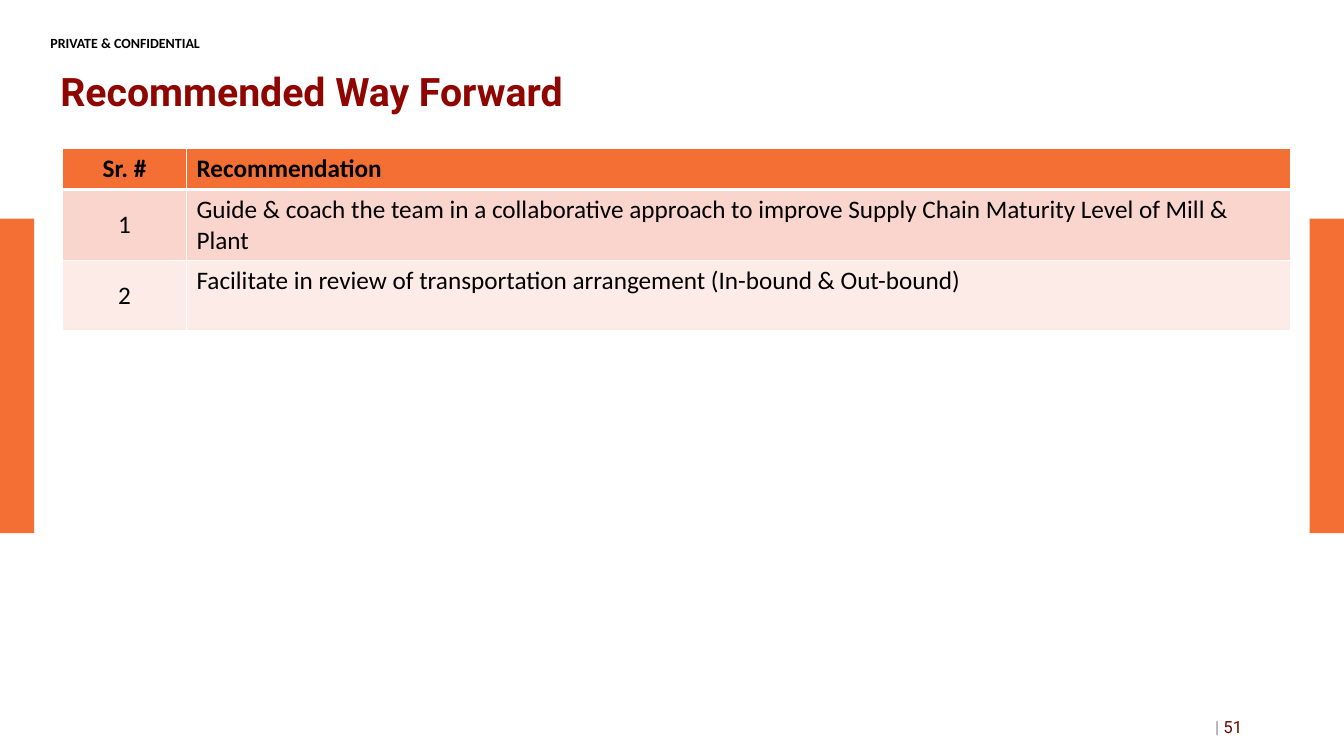
"""Build the Recommended Way Forward slide."""
from dataclasses import dataclass

from lxml.etree import SubElement
from pptx import Presentation
from pptx.dml.color import RGBColor as Rgb
from pptx.enum.shapes import MSO_SHAPE as Shape
from pptx.enum.text import MSO_ANCHOR as Anchor, MSO_AUTO_SIZE as AutoSize, PP_ALIGN as Align
from pptx.oxml.ns import qn
from pptx.util import Inches, Pt

TITLE = "Recommended Way Forward"
NOTICE = "PRIVATE & CONFIDENTIAL"
PAGE_NUMBER = "51"
RECOMMENDATIONS = [
    ("Sr. #", "Recommendation"),
    ("1", "Guide & coach the team in a collaborative approach to improve "
          "Supply Chain Maturity Level of Mill & Plant"),
    ("2", "Facilitate in review of transportation arrangement (In-bound & Out-bound)"),
]
COLUMN_WIDTHS = (1.23, 10.95)
ROW_HEIGHTS = (0.41, 0.7, 0.7)
SLIDE_WIDTH, SLIDE_HEIGHT = 13.33, 7.5
BAND_WIDTH, BAND_HEIGHT = 0.34, 3.12


@dataclass(frozen=True)
class Theme:
    """Hold the colours, fonts and type sizes."""
    band: str = "F46F33"
    title: str = "8F0500"
    page: str = "6A0500"
    separator: str = "8C8C8C"
    text: str = "000000"
    border: str = "FFFFFF"
    row_fills: tuple = ("F36F33", "FAD5CE", "FDEBE8")
    heading_font: str = "Roboto"
    body_font: str = "Calibri"
    title_size: int = 28
    table_size: int = 18
    page_size: int = 12
    notice_size: int = 10


THEME = Theme()


def set_font(font, name, size, color, bold=False):
    """Apply one type style."""
    font.name, font.size, font.bold = name, Pt(size), bold
    font.color.rgb = Rgb.from_string(color)


def place(part, left, top, width, height):
    """Move and size a part in inches."""
    part.left, part.top, part.width, part.height = map(Inches, (left, top, width, height))


def add_band(slide, left):
    """Add one side band."""
    band = slide.shapes.add_shape(Shape.RECTANGLE, Inches(left), Inches(2.17),
                                  Inches(BAND_WIDTH), Inches(BAND_HEIGHT))
    band.shadow.inherit = False
    band.fill.solid()
    band.fill.fore_color.rgb = Rgb.from_string(THEME.band)
    band.line.fill.background()


def add_label(slide, left, top, width, height):
    """Add a wrapping text frame."""
    frame = slide.shapes.add_textbox(*map(Inches, (left, top, width, height))).text_frame
    frame.word_wrap = True
    return frame


def set_borders(cell, widths):
    """Draw the cell borders, given in points by side."""
    properties = cell._tc.get_or_add_tcPr()
    for side, width in widths.items():
        line = SubElement(properties, qn(f"a:ln{side}"), w=str(Pt(width)))
        fill = SubElement(line, qn("a:solidFill"))
        SubElement(fill, qn("a:srgbClr"), val=THEME.border)


def add_recommendations(slide):
    """Add the recommendation table."""
    table = slide.shapes.add_table(
        len(RECOMMENDATIONS), len(COLUMN_WIDTHS), Inches(0.62), Inches(1.47),
        Inches(sum(COLUMN_WIDTHS)), Inches(sum(ROW_HEIGHTS))).table
    for column, width in zip(table.columns, COLUMN_WIDTHS):
        column.width = Inches(width)
    for row, height in zip(table.rows, ROW_HEIGHTS):
        row.height = Inches(height)
    for row, entries in enumerate(RECOMMENDATIONS):
        for column, entry in enumerate(entries):
            cell = table.cell(row, column)
            set_borders(cell, {"L": 1, "R": 1, "T": 3 if row == 1 else 1,
                               "B": 3 if row == 0 else 1})
            cell.fill.solid()
            cell.fill.fore_color.rgb = Rgb.from_string(THEME.row_fills[row])
            cell.text = entry
            cell.vertical_anchor = Anchor.TOP if row and column else Anchor.MIDDLE
            paragraph = cell.text_frame.paragraphs[0]
            paragraph.alignment = Align.LEFT if column else Align.CENTER
            set_font(paragraph.font, THEME.body_font, THEME.table_size, THEME.text, row == 0)


def main():
    """Assemble and save the slide."""
    deck = Presentation()
    deck.slide_width, deck.slide_height = Inches(SLIDE_WIDTH), Inches(SLIDE_HEIGHT)
    slide = deck.slides.add_slide(deck.slide_layouts[5])
    for left in (0, SLIDE_WIDTH - BAND_WIDTH):
        add_band(slide, left)

    notice = add_label(slide, 0.5, 0.34, 2.53, 0.12)
    notice.margin_left = notice.margin_right = notice.margin_top = notice.margin_bottom = 0
    notice.text = NOTICE
    set_font(notice.paragraphs[0].font, THEME.body_font, THEME.notice_size, THEME.text, True)

    title = slide.shapes.title
    place(title, 0.5, 0.58, 10.87, 0.71)
    title.text_frame.text = TITLE
    title.text_frame.auto_size = AutoSize.NONE
    title.text_frame.vertical_anchor = Anchor.MIDDLE
    heading = title.text_frame.paragraphs[0]
    heading.alignment, heading.line_spacing = Align.LEFT, 0.9
    set_font(heading.font, THEME.heading_font, THEME.title_size, THEME.title, True)

    footer = add_label(slide, 9.42, 7.01, 3, 0.4)
    footer.vertical_anchor = Anchor.MIDDLE
    page = footer.paragraphs[0]
    page.alignment = Align.RIGHT
    for part, color in (("| ", THEME.separator), (PAGE_NUMBER, THEME.page)):
        run = page.add_run()
        run.text = part
        set_font(run.font, THEME.heading_font, THEME.page_size, color)

    add_recommendations(slide)
    deck.save("out.pptx")


if __name__ == "__main__":
    main()
